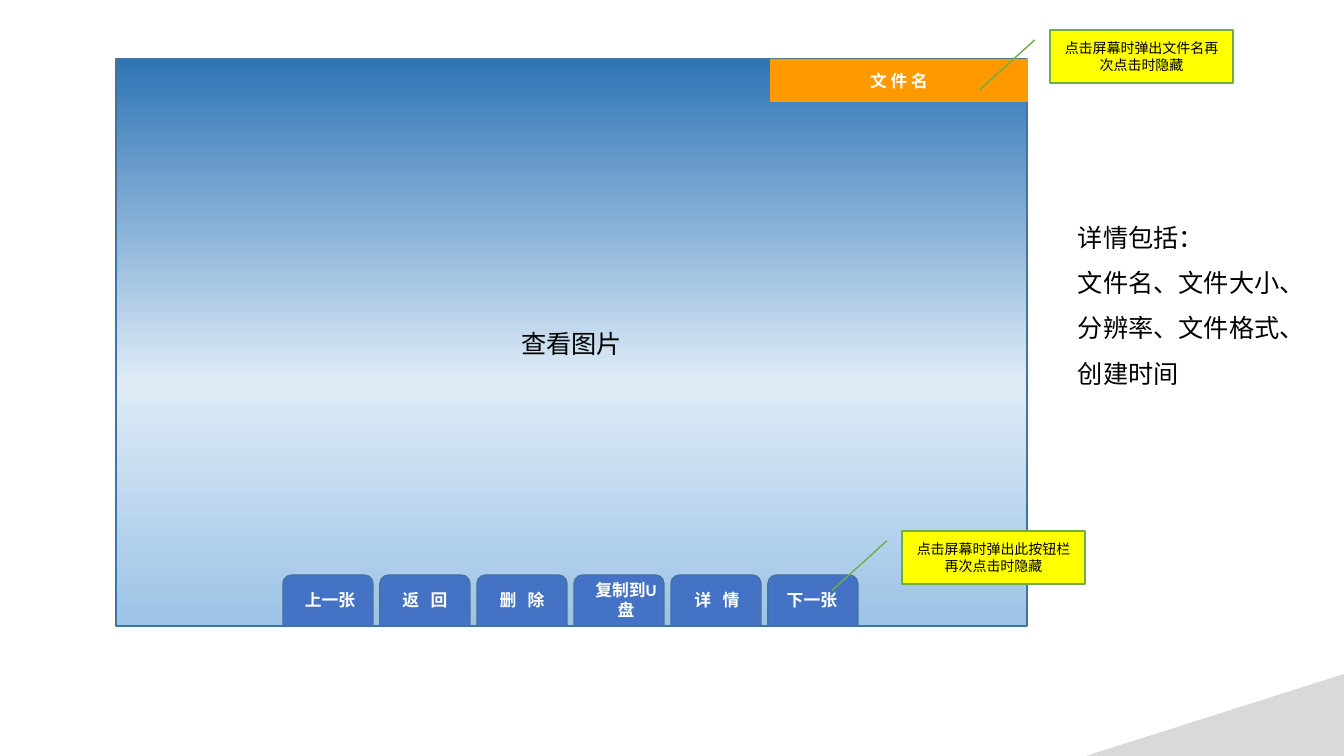
import pptx
import pptx.util
import pptx.dml.color
import pptx.enum.shapes
import pptx.enum.text
import pptx.oxml
import pptx.oxml.ns

RGBColor = pptx.dml.color.RGBColor
SHAPE = pptx.enum.shapes.MSO_SHAPE
ALIGN = pptx.enum.text.PP_ALIGN
MIDDLE = pptx.enum.text.MSO_ANCHOR.MIDDLE

# Content: boxes are (left, top, width, height) in px
PAGE_SIZE = (1344, 756)
SCREEN = (116, 59, 911, 567)
CORNER = (1086, 674, 258, 82)
FILE_NAME = ("文 件 名", (770, 59, 258, 43))
VIEWER = ("查看图片", (511, 323, 121, 40))
BUTTONS = [  # label, shift of the label from the middle of its tab
    ("上一张", 2), ("返 回", 0), ("删 除", 0),
    ("复制到U盘", 7), ("详 情", 1), ("下一张", -1),
]
TAB, TAB_PITCH = (283, 575, 90, 51), 97
LABEL_TOP, LABEL_HEIGHT = 585, 30
CALLOUTS = [
    ("点击屏幕时弹出此按钮栏再次点击时隐藏", (902, 531, 183, 53)),
    ("点击屏幕时弹出文件名再次点击时隐藏", (1050, 30, 183, 53)),
]
DETAILS = (["详情包括：", "文件名、文件大小、分辨率、文件格式、创建时间"],
           (1068, 202, 228, 191))

FONT = "Calibri"
WIDE_GAP = 270  # letter spacing of two-character labels, 1/100 pt
WHITE = RGBColor(0xFF, 0xFF, 0xFF)
BLACK = RGBColor(0, 0, 0)
GREY = RGBColor(0xD9, 0xD9, 0xD9)
BLUE = RGBColor(0x44, 0x72, 0xC4)
BLUE_LINE = RGBColor(0x43, 0x73, 0x9E)
ORANGE = RGBColor(0xFF, 0x99, 0x00)
YELLOW = RGBColor(0xFF, 0xFF, 0x00)
GREEN = RGBColor(0x70, 0xAD, 0x47)
SKY = [(0, RGBColor(0x2E, 0x75, 0xB6)), (57, RGBColor(0xDE, 0xEB, 0xF7)),
       (100, RGBColor(0x9D, 0xC3, 0xE6))]


def px(value):
    return pptx.util.Emu(round(value * 914400 / 100.8))


def add_box(page, kind, box, fill, line=None):
    shape = page.shapes.add_shape(kind, *map(px, box))
    shape.shadow.inherit = False
    shape.fill.solid()
    shape.fill.fore_color.rgb = fill
    if line is None:
        shape.line.fill.background()
    else:
        shape.line.color.rgb = line
        shape.line.width = pptx.util.Pt(1)
    return shape


def write(shape, lines, size, color, bold=False, align=ALIGN.CENTER,
          wrap=True, spacing=None):
    frame = shape.text_frame
    frame.word_wrap = wrap
    frame.text = "\n".join(lines)
    for para in frame.paragraphs:
        para.alignment = align
        para.line_spacing = spacing
        para.font.name = FONT
        para.font.size = pptx.util.Pt(size)
        para.font.bold = bold
        para.font.color.rgb = color
    return frame


def fill_gradient(shape, stops):
    """Replace the solid fill by a gradient running from top to bottom."""
    stop_list = "".join(
        f'<a:gs pos="{percent * 1000}"><a:srgbClr val="{color}"/></a:gs>'
        for percent, color in stops)
    gradient = pptx.oxml.parse_xml(
        f'<a:gradFill {pptx.oxml.ns.nsdecls("a")} rotWithShape="1">'
        f'<a:gsLst>{stop_list}</a:gsLst><a:lin ang="5400000" scaled="0"/></a:gradFill>')
    properties = shape.element.spPr
    solid = properties.find(pptx.oxml.ns.qn("a:solidFill"))
    properties.replace(solid, gradient)


def main():
    deck = pptx.Presentation()
    deck.slide_width, deck.slide_height = map(px, PAGE_SIZE)
    page = deck.slides.add_slide(deck.slide_layouts[6])

    # Viewer screen and page corner
    screen = add_box(page, SHAPE.RECTANGLE, SCREEN, BLUE, BLUE_LINE)
    fill_gradient(screen, SKY)
    corner = add_box(page, SHAPE.RIGHT_TRIANGLE, CORNER, GREY)
    corner.element.spPr.xfrm.set("flipH", "1")

    # Button bar
    left, top, width, height = TAB
    for index, (label, shift) in enumerate(BUTTONS):
        tab_left = left + index * TAB_PITCH
        add_box(page, SHAPE.ROUND_2_SAME_RECTANGLE,
                (tab_left, top, width, height), BLUE, BLUE_LINE)
        box = page.shapes.add_textbox(
            *map(px, (tab_left + shift, LABEL_TOP, width, LABEL_HEIGHT)))
        frame = write(box, [label], 12, WHITE, bold=True, wrap=False)
        frame.vertical_anchor = MIDDLE
        if " " in label:
            span = frame.paragraphs[0].runs[0]
            span.font.bold = True
            span.font.element.set("spc", str(WIDE_GAP)) if hasattr(
                span.font, "element") else span._r.get_or_add_rPr().set("spc", str(WIDE_GAP))

    # Viewer caption and file name bar
    text, box = VIEWER
    write(page.shapes.add_textbox(*map(px, box)), [text], 18, BLACK, wrap=False)
    text, box = FILE_NAME
    bar = add_box(page, SHAPE.RECTANGLE, box, ORANGE)
    write(bar, [text], 12, WHITE, bold=True).vertical_anchor = MIDDLE

    # Callouts with their default pointer
    for text, box in CALLOUTS:
        callout = add_box(page, SHAPE.LINE_CALLOUT_1, box, YELLOW, GREEN)
        write(callout, [text], 10, BLACK).vertical_anchor = MIDDLE

    # Details note
    lines, box = DETAILS
    write(page.shapes.add_textbox(*map(px, box)), lines, 18, BLACK,
          align=ALIGN.LEFT, spacing=1.5)

    deck.save("out.pptx")


if __name__ == "__main__":
    main()
